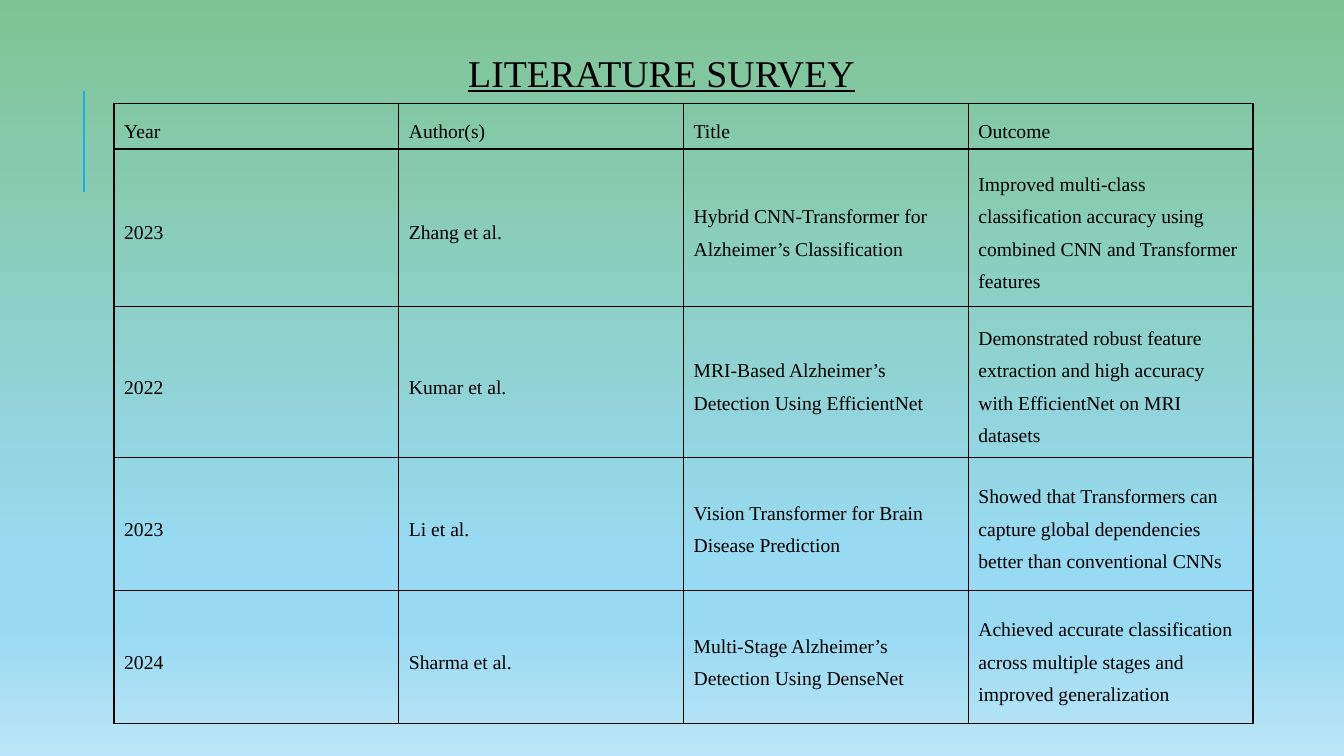
import pptx
import pptx.util
import pptx.dml.color
import pptx.enum.shapes
import pptx.enum.text
import pptx.oxml
import pptx.oxml.ns
from lxml import etree

Pt = pptx.util.Pt
qn = pptx.oxml.ns.qn
FONT = "Times New Roman"
BLACK = "000000"
SKY_STOPS = [(0, "7EC492"), (74, "99DAF3"), (83, "99DAF3"), (100, "BBE6F7")]
ROW_HEIGHTS = [28, 112.5, 95, 95, 95]
SURVEY = [
    ("Year", "Author(s)", "Title", "Outcome"),
    ("2023", "Zhang et al.", "Hybrid CNN-Transformer for Alzheimer’s Classification",
     "Improved multi-class classification accuracy using combined CNN and Transformer features"),
    ("2022", "Kumar et al.", "MRI-Based Alzheimer’s Detection Using EfficientNet",
     "Demonstrated robust feature extraction and high accuracy with EfficientNet on MRI datasets"),
    ("2023", "Li et al.", "Vision Transformer for Brain Disease Prediction",
     "Showed that Transformers can capture global dependencies better than conventional CNNs"),
    ("2024", "Sharma et al.", "Multi-Stage Alzheimer’s Detection Using DenseNet",
     "Achieved accurate classification across multiple stages and improved generalization"),
]


def color(value):
    return pptx.dml.color.RGBColor.from_string(value)


def write(frame, text, paragraph_format, font_format):
    frame.word_wrap = True
    para = frame.paragraphs[0]
    span = para.add_run()
    span.text = text
    for target, values in ((para, paragraph_format), (span.font, font_format)):
        for name, value in values.items():
            setattr(target, name, value)
    span.font.color.rgb = color(BLACK)


def paint_background(page):
    fill = page.background.fill
    fill.gradient()
    fill.gradient_angle = 270
    stops = next(page.element.iter(qn("a:gsLst")))
    for stop in list(stops):
        stops.remove(stop)
    for position, value in SKY_STOPS:
        stop = etree.SubElement(stops, qn("a:gs"), pos=str(position * 1000))
        etree.SubElement(stop, qn("a:srgbClr"), val=value)


def add_accent(page, left, top, height):
    line = page.shapes.add_connector(
        pptx.enum.shapes.MSO_CONNECTOR.STRAIGHT,
        Pt(left), Pt(top + height), Pt(left), Pt(top))
    line.line.color.rgb = color("1CADE4")
    line.line.width = Pt(1.5)
    etree.SubElement(line.element.spPr, qn("a:effectLst"))


def add_title(page, left, top, width, height):
    box = page.shapes.add_textbox(Pt(left), Pt(top), Pt(width), Pt(height))
    box.text_frame.vertical_anchor = pptx.enum.text.MSO_ANCHOR.MIDDLE
    write(box.text_frame, "LITERATURE SURVEY",
          {"alignment": pptx.enum.text.PP_ALIGN.CENTER},
          {"name": FONT, "size": Pt(27), "underline": True})


def add_borders(cell):
    properties = cell._tc.get_or_add_tcPr()
    for side in ("lnL", "lnR", "lnT", "lnB"):
        edge = etree.SubElement(properties, qn("a:" + side), w=str(Pt(1)))
        paint = etree.SubElement(edge, qn("a:solidFill"))
        etree.SubElement(paint, qn("a:srgbClr"), val=BLACK)


def add_survey(page, left, top, width):
    table = page.shapes.add_table(
        len(SURVEY), len(SURVEY[0]), Pt(left), Pt(top),
        Pt(width), Pt(sum(ROW_HEIGHTS))).table
    table.first_row = False
    table.horz_banding = False
    for column in table.columns:
        column.width = Pt(width / len(SURVEY[0]))
    for row, height, texts in zip(table.rows, ROW_HEIGHTS, SURVEY):
        row.height = Pt(height)
        for cell, text in zip(row.cells, texts):
            add_borders(cell)
            cell.fill.background()
            cell.vertical_anchor = pptx.enum.text.MSO_ANCHOR.MIDDLE
            write(cell.text_frame, text, {"line_spacing": 1.5},
                  {"name": FONT, "size": Pt(14)})


def main():
    deck = pptx.Presentation()
    deck.slide_width, deck.slide_height = Pt(960), Pt(540)
    page = deck.slides.add_slide(deck.slide_layouts[6])
    paint_background(page)
    add_accent(page, 60, 65, 72)
    add_title(page, 90, 31, 765, 41)
    add_survey(page, 81.5, 74, 813.6)
    deck.save("out.pptx")


if __name__ == "__main__":
    main()
